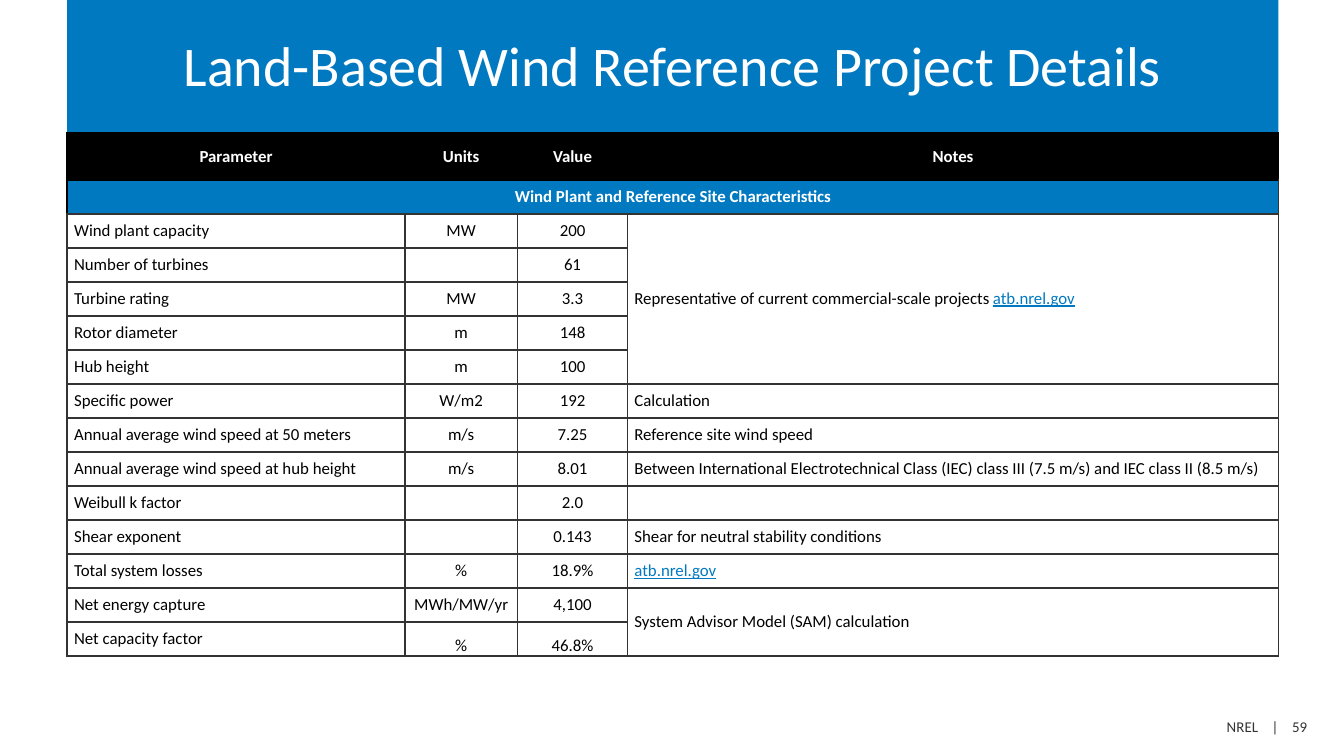
"""Build the land-based wind reference project slide."""
from lxml.etree import SubElement
from pptx import Presentation
from pptx.dml.color import RGBColor
from pptx.enum.shapes import MSO_SHAPE
from pptx.enum.text import MSO_ANCHOR, PP_ALIGN
from pptx.oxml import parse_xml
from pptx.oxml.ns import nsdecls, qn
from pptx.util import Cm, Pt

BLUE, BLACK, WHITE, GREY = "0079C1", "000000", "FFFFFF", "333333"
TITLE = "Land-Based Wind Reference Project Details"
FOOTER = "NREL\u00a0\u00a0\u00a0 |\u00a0\u00a0\u00a0 59".replace("\u00a0", " ")
HEADINGS = ["Parameter", "Units", "Value", "Notes"]
SECTION = "Wind Plant and Reference Site Characteristics"
LINK = "atb.nrel.gov"
ROWS = [
    ("Wind plant capacity", "MW", "200", "Representative of current commercial-scale projects " + LINK),
    ("Number of turbines", "", "61", ""),
    ("Turbine rating", "MW", "3.3", ""),
    ("Rotor diameter", "m", "148", ""),
    ("Hub height", "m", "100", ""),
    ("Specific power", "W/m2", "192", "Calculation"),
    ("Annual average wind speed at 50 meters", "m/s", "7.25", "Reference site wind speed"),
    ("Annual average wind speed at hub height", "m/s", "8.01",
     "Between International Electrotechnical Class (IEC) class III (7.5 m/s) and IEC class II (8.5 m/s)"),
    ("Weibull k factor", "", "2.0", ""),
    ("Shear exponent", "", "0.143", "Shear for neutral stability conditions"),
    ("Total system losses", "%", "18.9%", LINK),
    ("Net energy capture", "MWh/MW/yr", "4,100", "System Advisor Model (SAM) calculation"),
    ("Net capacity factor", "%", "46.8%", ""),
]
MERGES = [(1, 0, 1, 3), (2, 3, 6, 3), (13, 3, 14, 3)]
COLUMNS = [6.38, 2.13, 2.08, 12.3]
LEFT, WIDTH, TITLE_HEIGHT = 1.27, 22.89, 2.51
HEADER_HEIGHT, ROW_HEIGHT = 0.89, 0.64


def color(value):
    return RGBColor.from_string(value)


def style(span, size, value, bold=False):
    span.font.name = "Calibri"
    span.font.size = Pt(size)
    span.font.bold = bold
    span.font.color.rgb = color(value)


def set_margins(target, left, top, right, bottom):
    target.margin_left, target.margin_top = Cm(left), Cm(top)
    target.margin_right, target.margin_bottom = Cm(right), Cm(bottom)


def set_borders(cell, top_left, bottom_right):
    properties = cell._tc.get_or_add_tcPr()
    sides = {"lnL": top_left, "lnR": bottom_right, "lnT": top_left, "lnB": bottom_right}
    for index, (side, value) in enumerate(sides.items()):
        properties.insert(index, parse_xml(
            f'<a:{side} {nsdecls("a")} w="12700"><a:solidFill><a:srgbClr val="{value}"/>'
            f'</a:solidFill></a:{side}>'))


def fill_cell(cell, text, align, value, bold):
    para = cell.text_frame.paragraphs[0]
    para.alignment = align
    before, link, _ = text.partition(LINK)
    for part in filter(None, (before, link)):
        span = para.add_run()
        span.text = part
        style(span, 9, BLUE if part == LINK else value, bold)
        span.font.underline = part == LINK
    if not text:
        SubElement(para._p, qn("a:endParaRPr"), sz="900")


def add_text(box, text, size, value, align):
    para = box.text_frame.paragraphs[0]
    para.text = text
    para.alignment = align
    style(para.runs[0], size, value)
    return para


def add_title(page):
    box = page.shapes.add_shape(MSO_SHAPE.RECTANGLE, Cm(LEFT), 0, Cm(WIDTH), Cm(TITLE_HEIGHT))
    box.shadow.inherit = False
    box.fill.solid()
    box.fill.fore_color.rgb = color(BLUE)
    box.line.fill.background()
    box.text_frame.word_wrap = True
    box.text_frame.vertical_anchor = MSO_ANCHOR.MIDDLE
    set_margins(box.text_frame, 0.25, 0.33, 0.25, 0.13)
    add_text(box, TITLE, 30, WHITE, PP_ALIGN.CENTER).line_spacing = Pt(28)


def add_details(page):
    content = [HEADINGS, [SECTION, "", "", ""], *ROWS]
    height = HEADER_HEIGHT + ROW_HEIGHT * (len(content) - 1)
    table = page.shapes.add_table(len(content), len(COLUMNS), Cm(LEFT), Cm(TITLE_HEIGHT),
                                  Cm(WIDTH), Cm(height)).table
    for column, width in zip(table.columns, COLUMNS):
        column.width = Cm(width)
    for index, texts in enumerate(content):
        table.rows[index].height = Cm(ROW_HEIGHT if index else HEADER_HEIGHT)
        banner = index < 2
        for column, text in enumerate(texts):
            cell = table.cell(index, column)
            centered = banner or column in (1, 2)
            bottom = not banner and column in (1, 2)
            tight = banner or (bottom and index == len(content) - 1)
            set_margins(cell, *[0 if tight else 0.13] * 4)
            cell.vertical_anchor = MSO_ANCHOR.BOTTOM if bottom else MSO_ANCHOR.MIDDLE
            if banner:
                cell.fill.solid()
                cell.fill.fore_color.rgb = color(BLUE if index else BLACK)
            else:
                cell.fill.background()
            set_borders(cell, BLACK if banner else GREY, GREY if index else BLACK)
            fill_cell(cell, text, PP_ALIGN.CENTER if centered else PP_ALIGN.LEFT,
                      WHITE if banner else BLACK, banner)
    for top, left, bottom, right in MERGES:
        table.cell(top, left).merge(table.cell(bottom, right))


def add_footer(page):
    box = page.shapes.add_textbox(Cm(18.64), Cm(13.44), Cm(6.32), Cm(0.6))
    box.text_frame.word_wrap = True
    add_text(box, FOOTER, 8, GREY, PP_ALIGN.RIGHT)


def main():
    deck = Presentation()
    deck.slide_width, deck.slide_height = Cm(25.4), Cm(14.29)
    page = deck.slides.add_slide(deck.slide_layouts[6])
    add_footer(page)
    add_title(page)
    add_details(page)
    deck.save("out.pptx")


if __name__ == "__main__":
    main()
